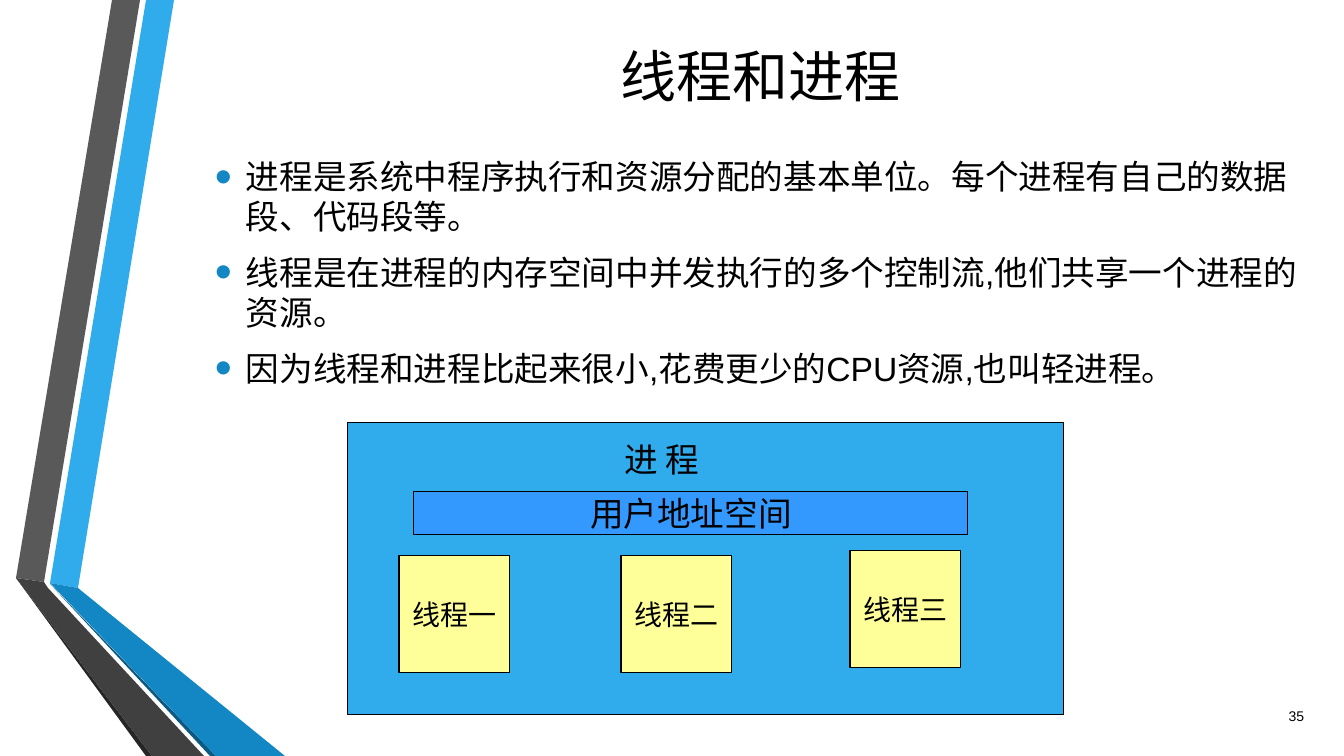
import lxml.etree
import pptx
import pptx.dml.color
import pptx.enum.shapes
import pptx.enum.text
import pptx.oxml.ns
import pptx.util

RGB = pptx.dml.color.RGBColor
ALIGN = pptx.enum.text.PP_ALIGN
MIDDLE = pptx.enum.text.MSO_ANCHOR.MIDDLE
SCALE = 914400 / 100.8

BLACK = RGB(0x00, 0x00, 0x00)
SKY = RGB(0x30, 0xAC, 0xEC)
BLUE = RGB(0x33, 0x99, 0xFF)
DEEP = RGB(0x12, 0x87, 0xC3)
NAVY = RGB(0x0C, 0x5A, 0x82)
YELLOW = RGB(0xFF, 0xFF, 0x99)
GREY = RGB(0x59, 0x59, 0x59)
DARK = RGB(0x40, 0x40, 0x40)
COAL = RGB(0x26, 0x26, 0x26)

BANDS = [
    (SKY, [(50, 583), (78, 588), (174, 0), (146, 0)]),
    (GREY, [(140, 0), (112, 0), (16, 578), (44, 582)]),
    (COAL, [(16, 578), (146, 756), (152, 756)]),
    (NAVY, [(50, 584), (210, 756), (216, 756)]),
    (DEEP, [(50, 583), (216, 756), (285, 756), (78, 588)]),
    (DARK, [(204, 756), (48, 588), (44, 582), (16, 578), (152, 756)]),
]
POINTS = [
    "进程是系统中程序执行和资源分配的基本单位。每个进程有自己的数据段、代码段等。",
    "线程是在进程的内存空间中并发执行的多个控制流,他们共享一个进程的资源。".replace(",", ","),
    "因为线程和进程比起来很小,花费更少的CPU资源,也叫轻进程。".replace(",", ","),
]
THREADS = [("线程一", 399, 556), ("线程二", 621, 556), ("线程三", 850, 551)]


def px(num):
    """Turn pixels into EMU."""
    return pptx.util.Emu(round(num * SCALE))


def apply(item, form):
    """Set each attribute of item from a dict."""
    for name, value in form.items():
        setattr(item, name, value)


def paint(shape, color):
    """Fill a shape and drop its shadow."""
    shape.shadow.inherit = False
    shape.fill.solid()
    shape.fill.fore_color.rgb = color


def write(frame, lines, size, font, align, form):
    """Write one paragraph per line into a text frame."""
    apply(frame, form)
    for i, line in enumerate(lines):
        para = frame.add_paragraph() if i else frame.paragraphs[0]
        para.alignment = align
        run = para.add_run()
        run.text = line
        apply(run.font, {"size": pptx.util.Pt(size), "name": font})
        run.font.color.rgb = BLACK


def label(slide, box, lines, size, font, align, **form):
    """Add a wrapping text box."""
    frame = slide.shapes.add_textbox(*map(px, box)).text_frame
    write(frame, lines, size, font, align, {"word_wrap": True, **form})
    return frame


def block(slide, box, color, text="", size=24):
    """Add an outlined rectangle, with centred text if given."""
    kind = pptx.enum.shapes.MSO_SHAPE.RECTANGLE
    shape = slide.shapes.add_shape(kind, *map(px, box))
    paint(shape, color)
    shape.line.color.rgb = BLACK
    shape.line.width = pptx.util.Pt(0.75)
    if text:
        form = {"word_wrap": False, "vertical_anchor": MIDDLE}
        write(shape.text_frame, [text], size, "Times New Roman", ALIGN.CENTER, form)


def band(slide, color, dots):
    """Add a closed polygon without outline."""
    pen = slide.shapes.build_freeform(*dots[0], scale=SCALE)
    pen.add_line_segments(dots[1:], close=True)
    shape = pen.convert_to_shape()
    paint(shape, color)
    shape.line.fill.background()


def bullet(para):
    """Give a paragraph a large coloured bullet and its spacing."""
    para.space_after = pptx.util.Pt(10.8)
    props = para._p.get_or_add_pPr()
    apply_indent = {"marL": px(31), "indent": -px(31)}
    for name, value in apply_indent.items():
        props.set(name, str(value))

    def add(root, tag, **attrs):
        return lxml.etree.SubElement(root, pptx.oxml.ns.qn(tag), **attrs)

    add(add(props, "a:buClr"), "a:srgbClr", val=str(DEEP))
    add(props, "a:buSzPct", val="145000")
    add(props, "a:buFont", typeface="Arial")
    add(props, "a:buChar", char="•")


def main():
    """Build the slide and save it."""
    deck = pptx.Presentation()
    apply(deck, {"slide_width": px(1344), "slide_height": px(756)})
    slide = deck.slides.add_slide(deck.slide_layouts[6])
    for color, dots in BANDS:
        band(slide, color, dots)
    label(slide, (205, 26, 1111, 99), ["线程和进程"], 40, "Arial",
          ALIGN.CENTER, vertical_anchor=MIDDLE)
    body = label(slide, (205, 136, 1111, 545), POINTS, 24, "Arial",
                 ALIGN.LEFT, margin_top=px(20))
    for para in body.paragraphs:
        bullet(para)
    label(slide, (1254, 696, 60, 40), ["35"], 10, "Arial",
          ALIGN.RIGHT, vertical_anchor=MIDDLE)
    block(slide, (348, 423, 716, 292), SKY)
    block(slide, (414, 492, 554, 43), BLUE, "用户地址空间")
    for text, left, top in THREADS:
        block(slide, (left, top, 111, 117), YELLOW, text, 20)
    label(slide, (569, 434, 185, 37), ["进 程"], 24, "Times New Roman", ALIGN.CENTER)
    deck.save("out.pptx")


main()
